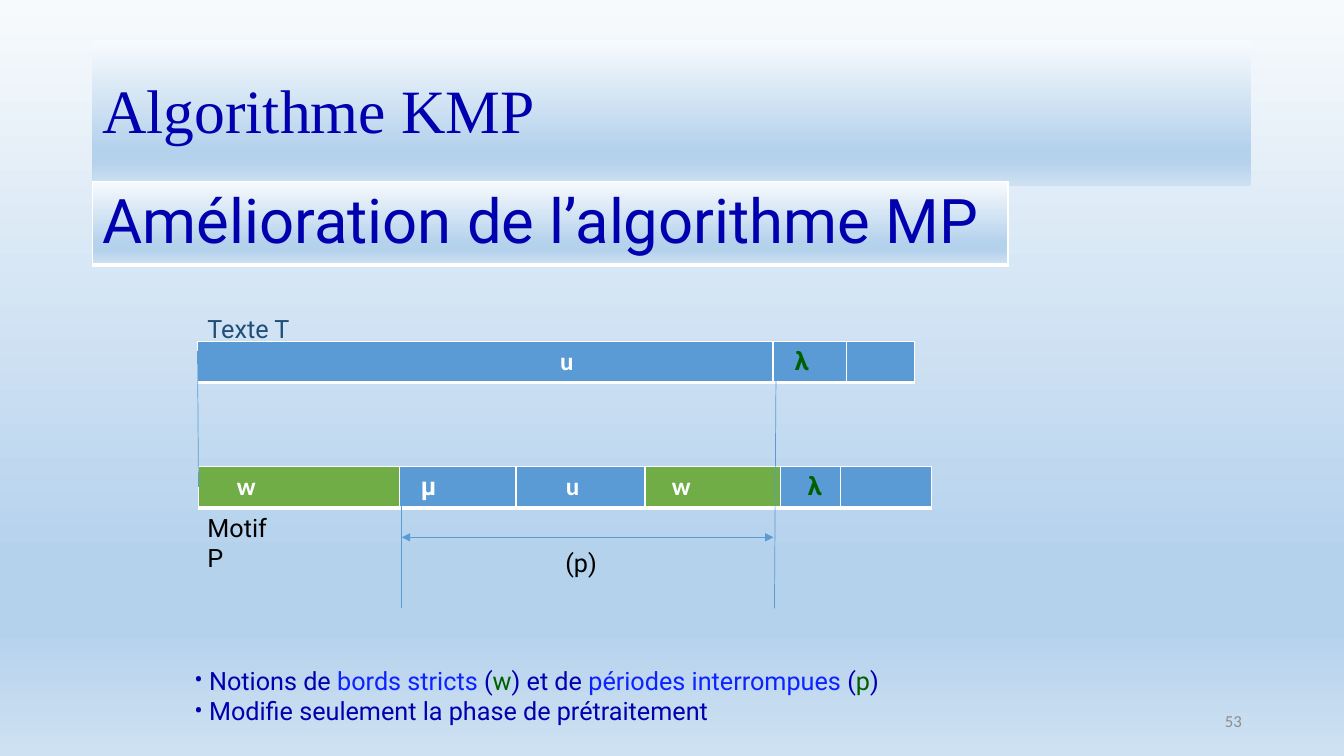
"""Build the slide on the KMP algorithm as an improvement of the MP algorithm."""
from copy import deepcopy

from pptx import Presentation
from pptx.dml.color import RGBColor as RGB
from pptx.enum.shapes import MSO_CONNECTOR as CONNECTOR, MSO_SHAPE as SHAPE
from pptx.enum.text import MSO_ANCHOR as ANCHOR, PP_ALIGN as ALIGN
from pptx.oxml import parse_xml
from pptx.oxml.ns import nsdecls, qn
from pptx.util import Pt

COLORS = {
    "navy": "0000AF", "bright": "0C22FF", "steel": "1F4E79", "dark green": "006000",
    "blue": "5B9BD5", "green": "70AD47", "white": "FFFFFF", "black": "000000",
    "gray": "8C8C8C", "pale": "F7FAFD", "sky": "B5D2EC", "mist": "CEE1F2",
}
STOPS = [(0, "pale"), (0.74, "sky"), (0.83, "sky"), (1, "mist")]
BORDERS = {"lnL": 1, "lnR": 1, "lnT": 1, "lnB": 3}


def shade(fill, owner):
    """Give the fill the vertical four-stop gradient."""
    fill.gradient()
    fill.gradient_angle = 270
    stop_list = next(owner.iter(qn("a:gsLst")))
    for stop in list(stop_list):
        stop_list.append(deepcopy(stop))
    for stop, (position, color) in zip(fill.gradient_stops, STOPS):
        stop.position = position
        stop.color.rgb = RGB.from_string(COLORS[color])


def write(paragraph, pieces, **style):
    """Add (text, color) pieces to the paragraph in one style."""
    style = {"name": "Roboto", "size": Pt(18), "bold": False} | style
    for text, color in pieces:
        run = paragraph.add_run()
        run.text = text
        for attribute, value in style.items():
            setattr(run.font, attribute, value)
        run.font.color.rgb = RGB.from_string(COLORS[color])


deck = Presentation()
deck.slide_width, deck.slide_height = Pt(960), Pt(540)
slide = deck.slides.add_slide(deck.slide_layouts[6])
shapes = slide.shapes
shade(slide.background.fill, slide.element)

title = shapes.add_shape(SHAPE.RECTANGLE, Pt(66), Pt(28.8), Pt(828), Pt(104.4))
title.shadow.inherit = False
title.line.fill.background()
shade(title.fill, title.element)
title.text_frame.vertical_anchor = ANCHOR.MIDDLE
heading = title.text_frame.paragraphs[0]
heading.alignment = ALIGN.LEFT
heading.line_spacing = 0.9
write(heading, [("Algorithme KMP", "navy")], name="Times New Roman", size=Pt(44))

subtitle_cells = [(653.8, None, 7.2, "Amélioration de l’algorithme MP", "navy",
                   {"size": Pt(44)})]
bold = {"bold": True}
calibri = {"bold": True, "name": "Calibri"}
text_cells = [
    (411.1, "blue", 259, "u", "white", calibri),
    (52.6, "blue", 15.6, "λ", "dark green", bold),
    (48.2, "blue", 7.2, "", "white", calibri),
]
pattern_cells = [
    (143.3, "green", 27.5, "w", "white", calibri),
    (83.5, "blue", 15.6, "μ", "white", bold),
    (92.2, "blue", 35.6, "u", "white", calibri),
    (96.5, "green", 19.2, "w", "white", calibri),
    (43.2, "blue", 19.8, "λ", "dark green", bold),
    (64.8, "blue", 7.2, "", "white", calibri),
]
for left, top, height, cells in [
    (66.2, 129.6, 59.5, subtitle_cells),
    (141.1, 244.1, 29.2, text_cells),
    (141.8, 333.4, 29.2, pattern_cells),
]:
    width = sum(entry[0] for entry in cells)
    band = shapes.add_table(1, len(cells), Pt(left), Pt(top), Pt(width), Pt(height)).table
    band.horz_banding = False
    for index, (cell_width, fill, indent, text, color, style) in enumerate(cells):
        band.columns[index].width = Pt(cell_width)
        cell = band.cell(0, index)
        cell.margin_left, cell.margin_right = Pt(indent), Pt(0)
        properties = cell._tc.get_or_add_tcPr()
        for side, weight in BORDERS.items():
            properties.append(parse_xml(
                f'<a:{side} {nsdecls("a")} w="{Pt(weight)}"><a:solidFill>'
                f'<a:srgbClr val="{COLORS["white"]}"/></a:solidFill></a:{side}>'))
        if fill:
            cell.fill.solid()
            cell.fill.fore_color.rgb = RGB.from_string(COLORS[fill])
        else:
            shade(cell.fill, cell._tc)
        if text:
            write(cell.text_frame.paragraphs[0], [(text, color)], **style)

for x1, y1, x2, y2, arrows in [
    (287, 333.4, 287, 434.6, False),
    (554.4, 250.6, 553.2, 434.6, False),
    (287, 383.8, 552.5, 383.8, True),
    (141.1, 250.6, 141.8, 347.8, False),
]:
    guide = shapes.add_connector(CONNECTOR.STRAIGHT, Pt(x1), Pt(y1), Pt(x2), Pt(y2))
    guide.line.width = Pt(0.5)
    guide.line.color.rgb = RGB.from_string(COLORS["blue"])
    if arrows:
        outline = guide.line._get_or_add_ln()
        for end in ("headEnd", "tailEnd"):
            outline.append(parse_xml(f'<a:{end} {nsdecls("a")} type="triangle"/>'))
    guide._element.spPr.append(parse_xml(f'<a:effectLst {nsdecls("a")}/>'))

for left, top, width, text, color, wrap in [
    (141.1, 220.3, 84.2, "Texte T", "steel", True),
    (141.1, 362.2, 70.6, "Motif P", "black", True),
    (396.7, 387.4, 37.4, "(p)", "black", False),
]:
    label = shapes.add_textbox(Pt(left), Pt(top), Pt(width), Pt(28.8)).text_frame
    label.word_wrap = wrap
    write(label.paragraphs[0], [(text, color)])

notions = [
    ("Notions de ", "navy"), ("bords stricts ", "bright"), ("(", "navy"),
    ("w", "dark green"), (") et de ", "navy"), ("périodes interrompues ", "bright"),
    ("(", "navy"), ("p", "dark green"), (")", "navy"),
]
phase = [("Modifie seulement la phase de prétraitement", "navy")]
remarks = shapes.add_textbox(Pt(131.8), Pt(471.6), Pt(578.2), Pt(51.1)).text_frame
remarks.word_wrap = True
for remark, pieces in zip([remarks.paragraphs[0], remarks.add_paragraph()], [notions, phase]):
    layout = remark._p.get_or_add_pPr()
    layout.set("marL", str(Pt(10.5)))
    layout.set("indent", str(Pt(-10.5)))
    layout.append(parse_xml(f'<a:buFont {nsdecls("a")} typeface="Roboto"/>'))
    layout.append(parse_xml(f'<a:buChar {nsdecls("a")} char="•"/>'))
    write(remark, pieces)

page = shapes.add_textbox(Pt(678.2), Pt(500.4), Pt(216), Pt(28.8)).text_frame
page.word_wrap = True
page.vertical_anchor = ANCHOR.MIDDLE
page.paragraphs[0].alignment = ALIGN.RIGHT
write(page.paragraphs[0], [("53", "gray")], name="Calibri", size=Pt(12))

deck.save("out.pptx")
